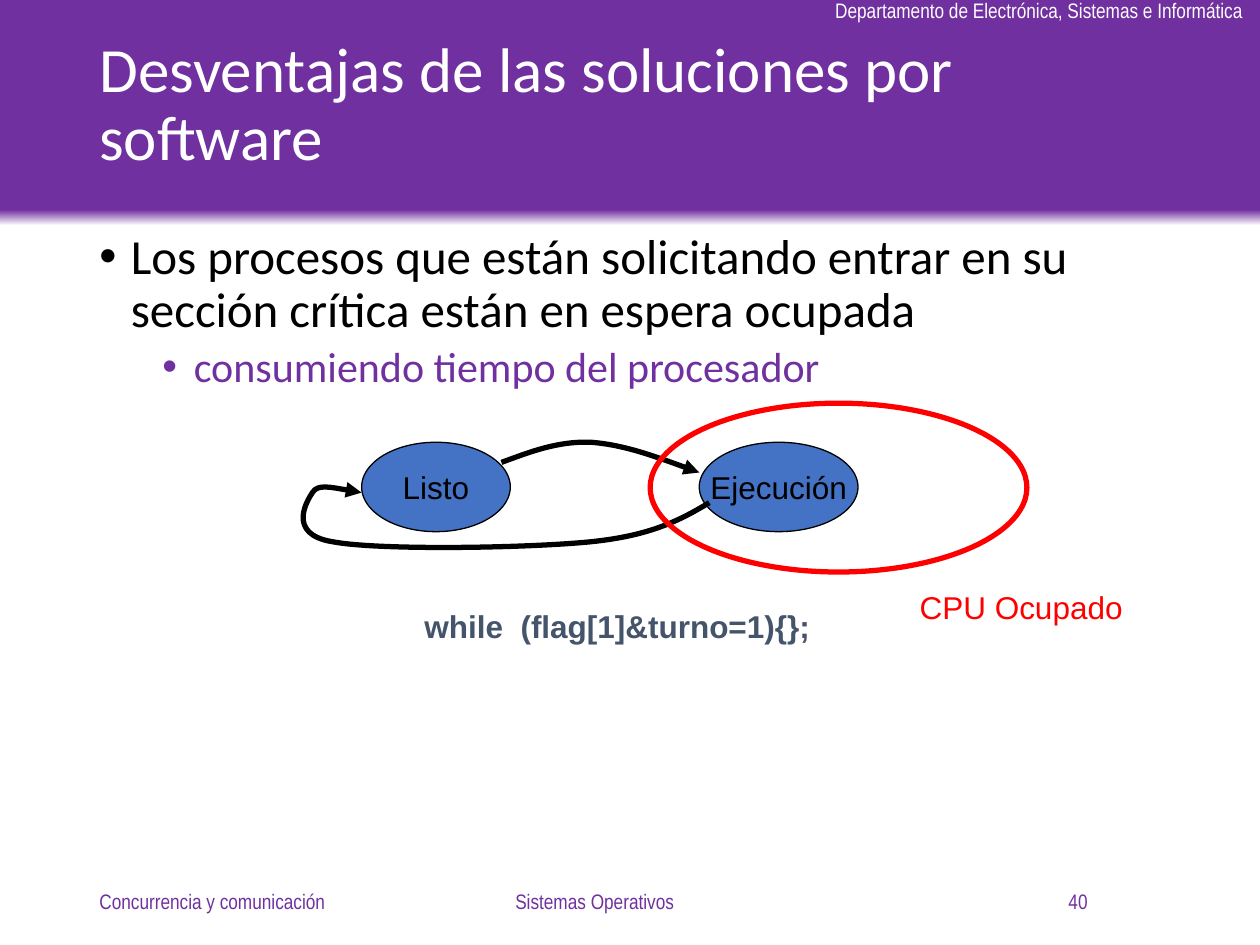
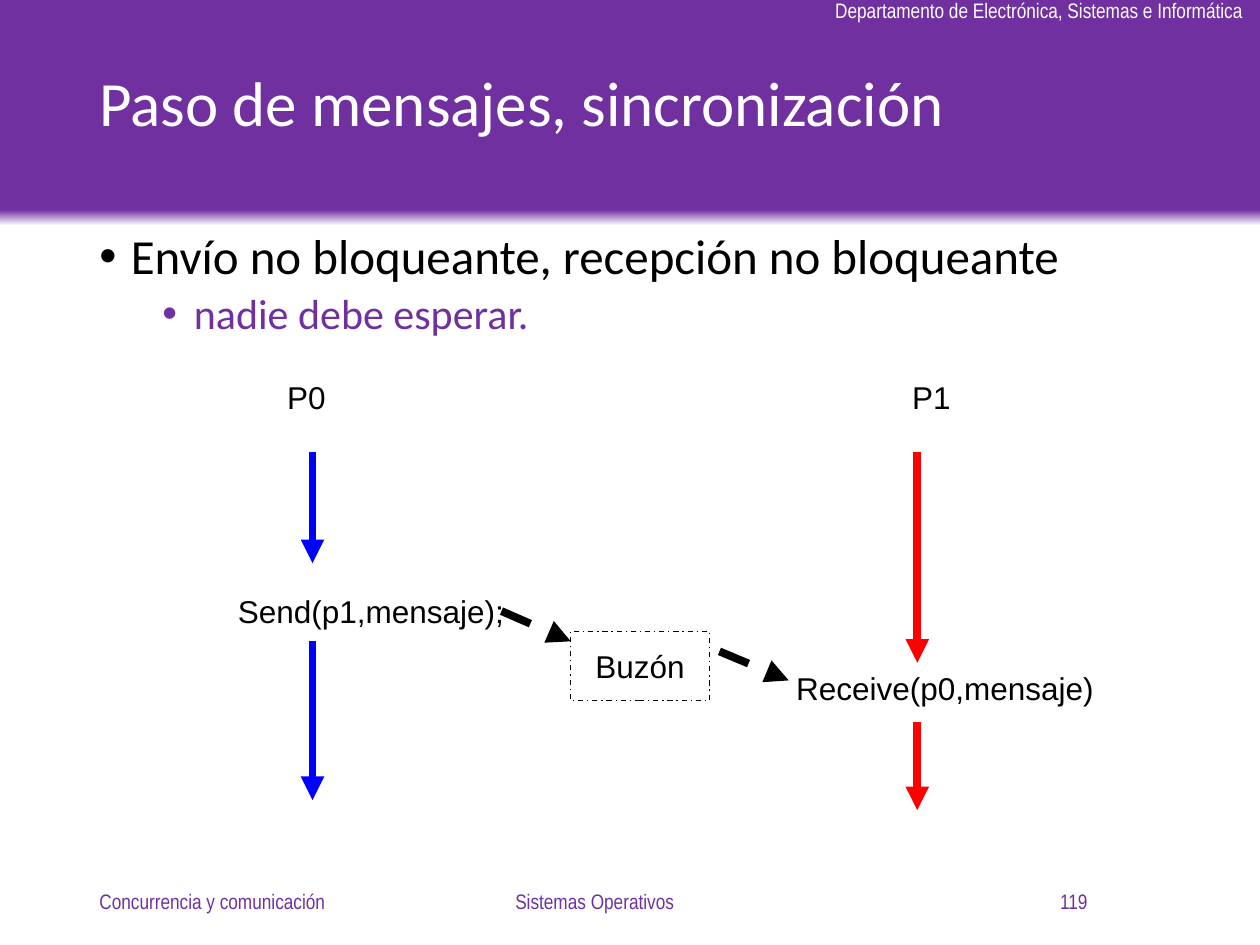
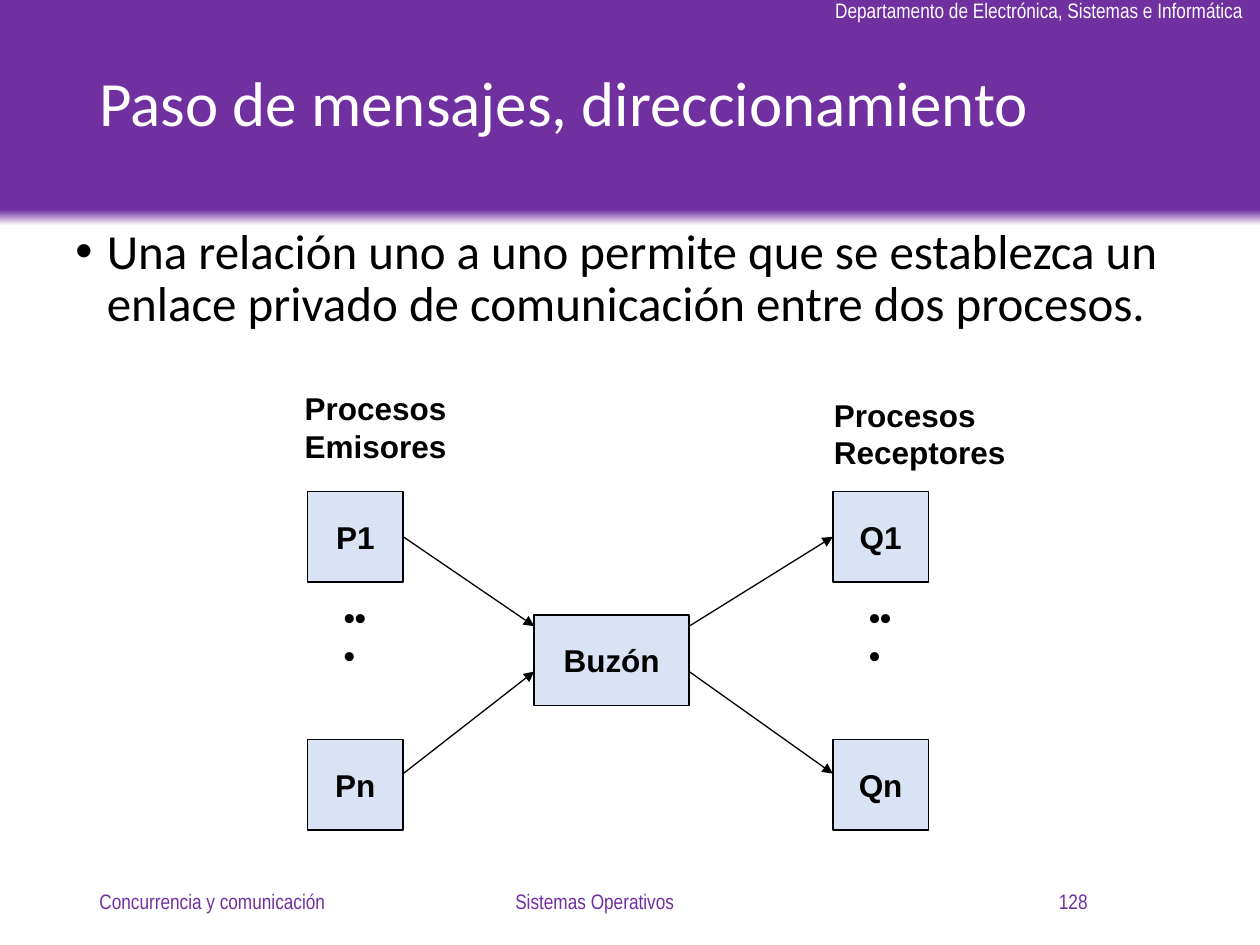
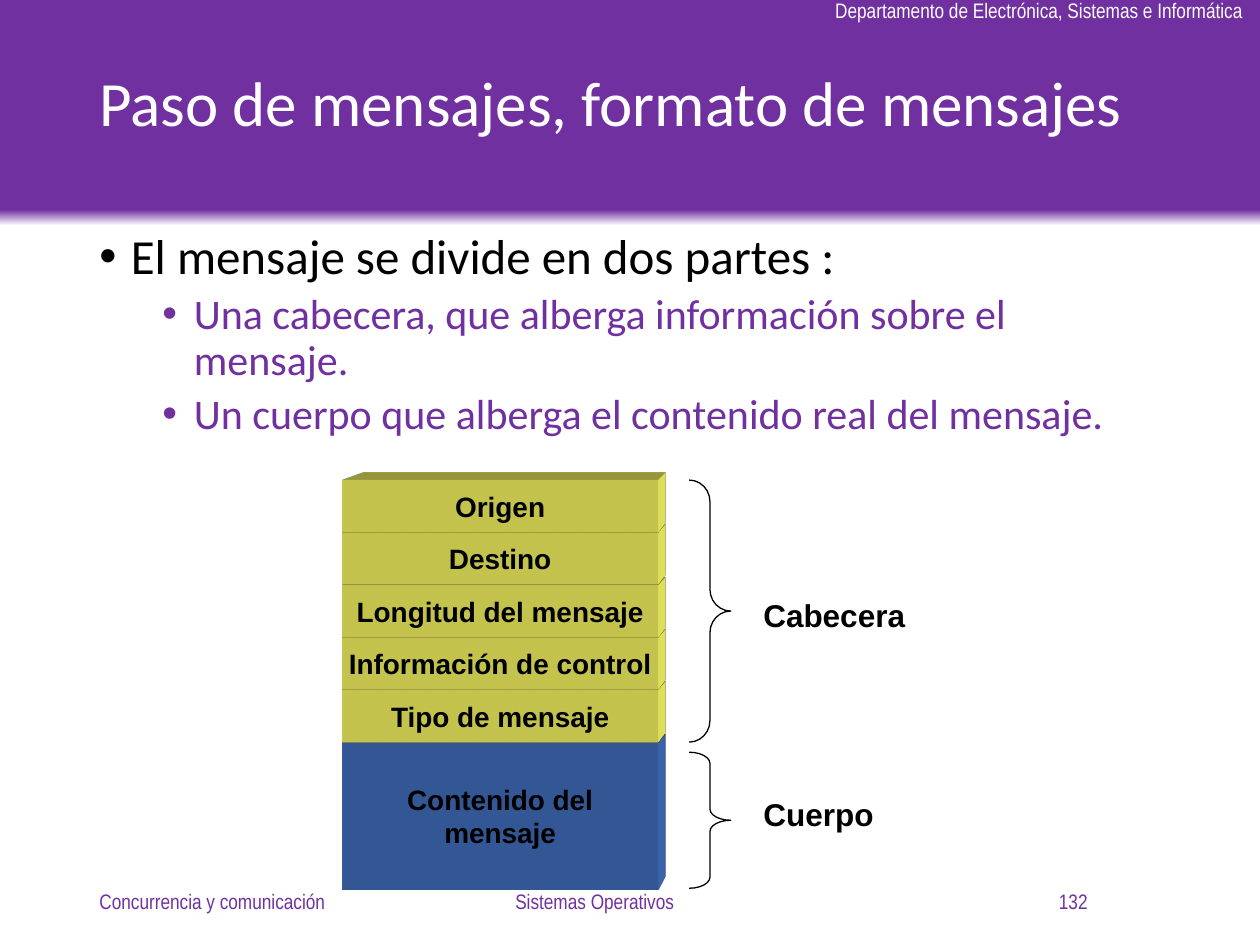
"""Builds four slides on concurrency and message passing."""
import lxml.etree
import pptx
import pptx.dml.color
import pptx.enum.dml
import pptx.enum.shapes
import pptx.enum.text
import pptx.oxml
import pptx.oxml.ns
import pptx.util

Inches = pptx.util.Inches
Pt = pptx.util.Pt
SHAPE = pptx.enum.shapes.MSO_SHAPE
DASH = pptx.enum.dml.MSO_LINE
ALIGN = pptx.enum.text.PP_ALIGN
MIDDLE = pptx.enum.text.MSO_ANCHOR.MIDDLE
qn = pptx.oxml.ns.qn

PURPLE, BLACK, WHITE = "7030A0", "000000", "FFFFFF"
RED, BLUE, STATE, CODE = "FF0000", "0000FF", "4472C4", "44546A"
PALE, YELLOW = "DAE3F3", "FFFF66"

DEPARTMENT = "Departamento de Electrónica, Sistemas e Informática"
TOPIC, COURSE = "Concurrencia y comunicación", "Sistemas Operativos"
BODY = (0.69, 1.79, 8.62, 4.97)
LEVELS = [(28, BLACK, 0.25, 0.9, 10), (24, PURPLE, 0.75, 0.9, 5)]

SOFTWARE = {
    "title": "Desventajas de las soluciones por software",
    "number": "40",
    "body": [
        (0, "Los procesos que están solicitando entrar en su sección crítica están en espera ocupada"),
        (1, "consumiendo tiempo del procesador"),
    ],
}
STATES = [("Ejecución", (5.55, 3.51, 1.26, 0.71)), ("Listo", (2.87, 3.51, 1.18, 0.71))]
TO_RUNNING = [(3.98, 3.67), (4.2, 3.59), (4.42, 3.5), (4.69, 3.51),
              (4.95, 3.53), (5.25, 3.64), (5.55, 3.75)]
TO_READY = [(5.63, 3.99), (5.41, 4.12), (5.18, 4.25), (4.69, 4.3),
            (4.19, 4.35), (3.01, 4.37), (2.64, 4.3),
            (2.27, 4.24), (2.44, 3.97), (2.48, 3.91),
            (2.52, 3.84), (2.7, 3.88), (2.87, 3.91)]

SYNC = {
    "title": "Paso de mensajes, sincronización",
    "number": "119",
    "body": [(0, "Envío no bloqueante, recepción no bloqueante"), (1, "nadie debe esperar.")],
}
SYNC_LABELS = [
    ("P0", (2.18, 2.95, 0.51, 0.4)),
    ("P1", (7.14, 2.95, 0.51, 0.4)),
    ("Send(p1,mensaje);", (1.79, 4.65, 2.31, 0.4)),
    ("Receive(p0,mensaje)", (6.22, 5.26, 2.56, 0.4)),
]
TIMELINES = [(2.48, BLUE, [(3.59, 4.47), (5.09, 6.35)]), (7.28, RED, [(3.59, 5.26), (5.73, 6.43)])]
DELIVERIES = [((3.98, 4.85), (4.53, 5.09)), ((5.71, 5.17), (6.26, 5.4))]

ADDRESSING = {
    "title": "Paso de mensajes, direccionamiento",
    "number": "128",
    "body": [(0, "Una relación uno a uno permite que se establezca un enlace privado de comunicación entre dos procesos.")],
    "body_at": (0.5, 1.75, 9, 1.88),
}
PROCESSES = [
    (2.44, ["P1", "Pn"], ["Procesos", "Emisores"], (2.32, 3.04, 1.33, 0.7)),
    (6.61, ["Q1", "Qn"], ["Procesos", "Receptores"], (6.52, 3.09, 1.56, 0.7)),
]
PROCESS_TOPS, PROCESS_W, PROCESS_H = (3.9, 5.87), 0.76, 0.72
MAILBOX = (4.24, 4.88, 1.23, 0.72)

FORMAT = {
    "title": "Paso de mensajes, formato de mensajes",
    "number": "132",
    "body": [
        (0, "El mensaje se divide en dos partes :"),
        (1, "Una cabecera, que alberga información sobre el mensaje."),
        (1, "Un cuerpo que alberga el contenido real del mensaje."),
    ],
}
FIELDS = ["Origen", "Destino", "Longitud del mensaje", "Información de control", "Tipo de mensaje"]
CONTENT = ["Contenido del", "mensaje"]
STACK_X, STACK_W, STACK_TOP, CONTENT_TOP, CONTENT_H = 2.72, 2.5, 3.81, 5.89, 1.17
PARTS = [
    ("Cuerpo", (5.96, 6.26, 1.08, 0.4), (5.47, 5.97, 0.33, 1.08), 0.27),
    ("Cabecera", (5.96, 4.68, 1.33, 0.4), (5.47, 3.81, 0.33, 2.08), 0.52),
]


def rgb(color):
    return pptx.dml.color.RGBColor.from_string(color)


def inches(values):
    return [Inches(v) for v in values]


def write(sp, lines, size=18, color=BLACK, font="Arial", bold=False,
          align=ALIGN.LEFT, wrap=False, anchor=None):
    tf = sp.text_frame
    tf.word_wrap = wrap
    if anchor is not None:
        tf.vertical_anchor = anchor
    tf.text = "\n".join(lines)
    for p in tf.paragraphs:
        p.alignment = align
        for r in p.runs:
            r.font.size, r.font.name, r.font.bold = Pt(size), font, bold
            r.font.color.rgb = rgb(color)
    return tf


def label(s, text, at, **style):
    lines = [text] if isinstance(text, str) else text
    return write(s.shapes.add_textbox(*inches(at)), lines, **style)


def outline(sp, color, width):
    if color:
        sp.line.color.rgb = rgb(color)
        sp.line.width = Pt(width)
    else:
        sp.line.fill.background()


def shape(s, kind, at, fill=None, line=BLACK, width=0.75, lines=(), **style):
    sp = s.shapes.add_shape(kind, *inches(at))
    sp.shadow.inherit = False
    if fill:
        sp.fill.solid()
        sp.fill.fore_color.rgb = rgb(fill)
    else:
        sp.fill.background()
    outline(sp, line, width)
    if lines:
        write(sp, lines, align=ALIGN.CENTER, anchor=MIDDLE, **style)
    return sp


def add_arrowhead(sp):
    lxml.etree.SubElement(sp.line._get_or_add_ln(), qn("a:tailEnd"), type="triangle")


def arrow(s, start, end, color=BLACK, width=0.75, dash=None):
    c = s.shapes.add_connector(pptx.enum.shapes.MSO_CONNECTOR.STRAIGHT, *inches(start + end))
    outline(c, color, width)
    if dash:
        c.line.dash_style = dash
    add_arrowhead(c)
    lxml.etree.SubElement(c._element.spPr, qn("a:effectLst"))
    return c


def curved_arrow(s, points):
    """Draws a chain of cubic curves: a start, then two controls and an end for each."""
    start, *rest = [tuple(inches(pt)) for pt in points]
    builder = s.shapes.build_freeform(*start)
    builder.add_line_segments(rest, close=False)
    sp = builder.convert_to_shape()
    sp.shadow.inherit = False
    sp.fill.background()
    outline(sp, BLACK, 3)
    add_arrowhead(sp)
    outline_path = next(sp._element.iter(qn("a:path")))
    segments = outline_path.findall(qn("a:lnTo"))
    for i in range(0, len(segments), 3):
        curve = lxml.etree.SubElement(outline_path, qn("a:cubicBezTo"))
        for segment in segments[i:i + 3]:
            curve.append(segment[0])
            outline_path.remove(segment)


def extrude(sp, color):
    """Gives a shape a block-like depth."""
    ns = 'xmlns:a="http://schemas.openxmlformats.org/drawingml/2006/main"'
    for xml in (
        f'<a:scene3d {ns}><a:camera prst="legacyPerspectiveTopRight"/>'
        '<a:lightRig rig="legacyFlat3" dir="b"/></a:scene3d>',
        f'<a:sp3d {ns} extrusionH="430200" prstMaterial="legacyMatte">'
        '<a:bevelT w="13500" h="13500" prst="angle"/><a:bevelB w="13500" h="13500" prst="angle"/>'
        f'<a:extrusionClr><a:srgbClr val="{color}"/></a:extrusionClr></a:sp3d>',
    ):
        sp._element.spPr.append(pptx.oxml.parse_xml(xml))


def add_body(s, items, at):
    tf = label(s, [text for _, text in items], at, font="Calibri", wrap=True)
    for i, (p, (level, _)) in enumerate(zip(tf.paragraphs, items)):
        size, color, margin, spacing, before = LEVELS[level]
        pPr = p._p.get_or_add_pPr()
        pPr.set("marL", str(Inches(margin)))
        pPr.set("indent", str(-Inches(0.25)))
        p.line_spacing = spacing
        if i:
            p.space_before = Pt(before)
        lxml.etree.SubElement(pPr, qn("a:buFont"), typeface="Arial")
        lxml.etree.SubElement(pPr, qn("a:buChar"), char="•")
        for r in p.runs:
            r.font.size = Pt(size)
            r.font.color.rgb = rgb(color)


def add_slide(prs, content):
    """Adds a slide with the shared band, title, body and footer."""
    s = prs.slides.add_slide(prs.slide_layouts[6])
    band = shape(s, SHAPE.RECTANGLE, (0, 0, 10, 1.79), line=None)
    band.fill.gradient()
    band.fill.gradient_angle = 90
    for stop, color, position in zip(band.fill.gradient_stops, (WHITE, PURPLE), (0, 0.07)):
        stop.color.rgb = rgb(color)
        stop.position = position
    small = {"size": 12, "font": "Arial Narrow"}
    label(s, DEPARTMENT, (6.53, -0.07, 3.48, 0.3), color=WHITE, **small)
    title = label(s, content["title"], (0.69, 0.15, 8.62, 1.39), size=36, color=WHITE,
                  font="Calibri", wrap=True, anchor=MIDDLE)
    title.paragraphs[0].line_spacing = 0.9
    add_body(s, content["body"], content.get("body_at", BODY))
    for text, x, w, align in ((TOPIC, 0.69, 2.25, ALIGN.LEFT),
                              (COURSE, 3.03, 3.38, ALIGN.CENTER),
                              (content["number"], 6.48, 2.25, ALIGN.RIGHT)):
        label(s, text, (x, 6.95, w, 0.4), color=PURPLE, align=align, wrap=True,
              anchor=MIDDLE, **small)
    return s


def software_slide(prs):
    s = add_slide(prs, SOFTWARE)
    label(s, "while  (flag[1]&turno=1){};", (3.27, 4.77, 3.26, 0.4), color=CODE, bold=True)
    for name, at in STATES:
        shape(s, SHAPE.OVAL, at, STATE, lines=[name])
    curved_arrow(s, TO_RUNNING)
    curved_arrow(s, TO_READY)
    shape(s, SHAPE.OVAL, (5.16, 3.2, 2.99, 1.34), line=RED, width=3)
    label(s, "CPU Ocupado", (7.2, 4.62, 1.81, 0.4), color=RED)


def sync_slide(prs):
    s = add_slide(prs, SYNC)
    for text, at in SYNC_LABELS:
        label(s, text, at)
    for x, color, spans in TIMELINES:
        for top, bottom in spans:
            arrow(s, (x, top), (x, bottom), color, 4.5)
    mailbox = shape(s, SHAPE.RECTANGLE, (4.53, 5.01, 1.1, 0.55), lines=["Buzón"])
    mailbox.line.dash_style = DASH.DASH_DOT
    for start, end in DELIVERIES:
        arrow(s, start, end, width=4.5, dash=DASH.DASH)


def addressing_slide(prs):
    s = add_slide(prs, ADDRESSING)
    box = {"fill": PALE, "width": 1, "bold": True}
    nodes = {}
    for x, names, heading, heading_at in PROCESSES:
        for name, top in zip(names, PROCESS_TOPS):
            nodes[name] = shape(s, SHAPE.RECTANGLE, (x, top, PROCESS_W, PROCESS_H),
                                lines=[name], **box)
        label(s, "•• •", (x + 0.19, 4.7, 0.38, 1), bold=True, wrap=True)
        label(s, heading, heading_at, bold=True)
    shape(s, SHAPE.RECTANGLE, MAILBOX, lines=["Buzón"], **box)
    left, right = MAILBOX[0], MAILBOX[0] + MAILBOX[2]
    sender, receiver = PROCESSES[0][0] + PROCESS_W, PROCESSES[1][0]
    for y, mailbox_y in ((4.26, 4.97), (6.14, 5.33)):
        incoming = arrow(s, (sender, y), (left, mailbox_y))
        outgoing = arrow(s, (right, mailbox_y), (receiver, y))
        if y == 4.26:
            incoming.begin_connect(nodes["P1"], 3)
            outgoing.end_connect(nodes["Q1"], 1)


def format_slide(prs):
    s = add_slide(prs, FORMAT)
    step = (CONTENT_TOP - STACK_TOP) / len(FIELDS)
    blocks = [(CONTENT, CONTENT_TOP, CONTENT_H, STATE)]
    blocks += [([name], STACK_TOP + i * step, step, YELLOW)
               for i, name in reversed(list(enumerate(FIELDS)))]
    for lines, top, height, color in blocks:
        sp = shape(s, SHAPE.RECTANGLE, (STACK_X, top, STACK_W, height), color, line=None,
                   lines=lines, size=16, bold=True)
        extrude(sp, color)
    for text, at, brace_at, curl in PARTS:
        brace = shape(s, SHAPE.RIGHT_BRACE, brace_at)
        brace.adjustments[0] = curl
        label(s, text, at, bold=True)


def main():
    prs = pptx.Presentation()
    prs.slide_width, prs.slide_height = Inches(10), Inches(7.5)
    for build in (software_slide, sync_slide, addressing_slide, format_slide):
        build(prs)
    prs.save("out.pptx")


if __name__ == "__main__":
    main()
